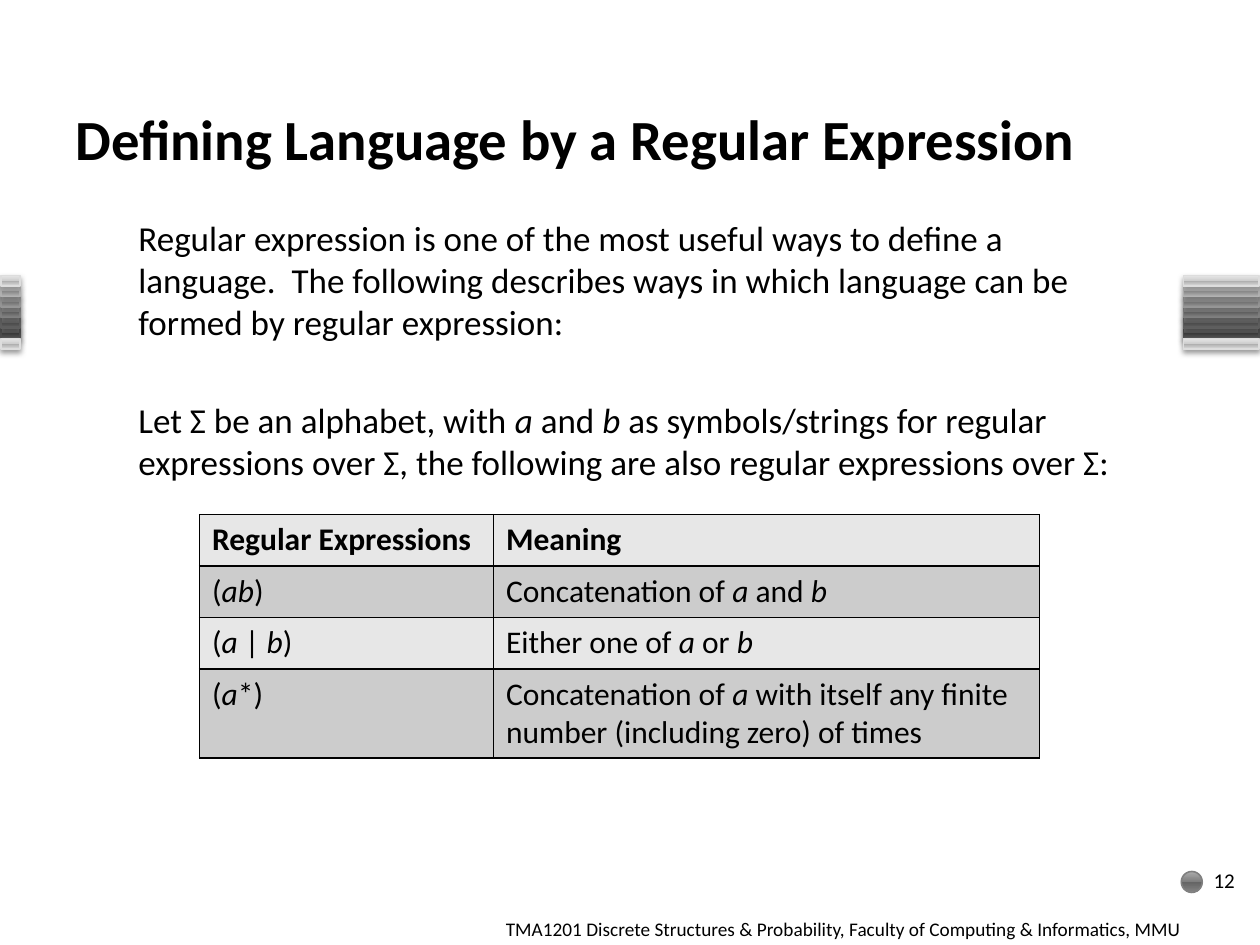
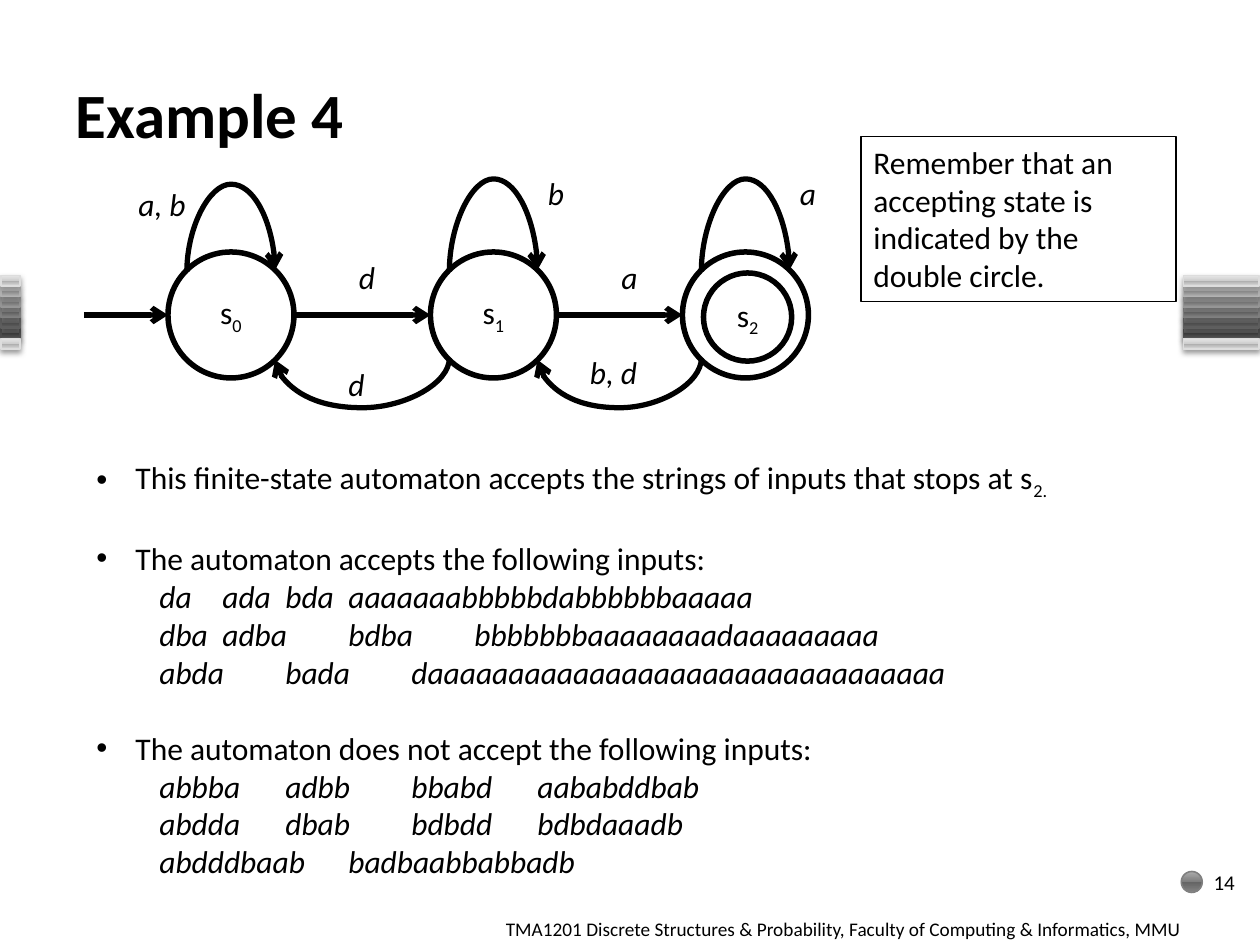
from lxml.etree import SubElement
from pptx import Presentation
from pptx.dml.color import RGBColor
from pptx.enum.shapes import MSO_CONNECTOR, MSO_SHAPE
from pptx.enum.text import MSO_ANCHOR, MSO_AUTO_SIZE, PP_ALIGN
from pptx.oxml.ns import qn
from pptx.util import Emu, Inches, Pt

RECT, OVAL = MSO_SHAPE.RECTANGLE, MSO_SHAPE.OVAL
LINE, CURVE = MSO_CONNECTOR.STRAIGHT, MSO_CONNECTOR.CURVE
TOP, MIDDLE, BOTTOM = MSO_ANCHOR.TOP, MSO_ANCHOR.MIDDLE, MSO_ANCHOR.BOTTOM
LEFT, CENTER = PP_ALIGN.LEFT, PP_ALIGN.CENTER
GROW = MSO_AUTO_SIZE.SHAPE_TO_FIT_TEXT
COLS, ROWS = 120, 90
CELL = Inches(10) / COLS


class Theme:
    font = "Calibri"
    ink = RGBColor(0, 0, 0)
    paper = RGBColor(255, 255, 255)
    rows = [RGBColor(0xE7, 0xE7, 0xE7), RGBColor(0xCC, 0xCC, 0xCC)]
    body, text, num, foot = 20, 18, 12, 11
    ring, arrow, thin, edge = Pt(3.15), Pt(3), Pt(0.75), Pt(0.9)
    stops = [0, 49, 49, 92, 100]
    # Five gradient stops, then outline and shadow, from light to dark
    tones = [
        "E6E6E6 CECECE AAAAAA D4D4D4 DEDEDE DDDDDD 888888".split(),
        "CACACA A9A9A9 898989 ACACAC B9B9B9 B2B2B2 6E6E6E".split(),
        "B9B9B9 919191 747474 929292 A2A2A2 969696 5D5D5D".split(),
        "ADADAD 7E7E7E 636363 7E7E7E 929292 808080 4F4F4F".split(),
        "9F9F9F 646464 494949 616161 7B7B7B 5F5F5F 3B3B3B".split(),
        "999999 575757 3B3B3B 525252 717171 4D4D4D 303030".split(),
    ]


def grid(*cells):
    """Turn grid cells into slide lengths."""
    return [Emu(round(n * CELL)) for n in cells]


def write(frame, texts, size, anchor=TOP, align=LEFT, bold=False, wrap=True):
    """Fill a frame; ~ toggles italic and ^ toggles subscript."""
    frame.word_wrap = wrap
    frame.vertical_anchor = anchor
    for n, text in enumerate(texts):
        para = frame.add_paragraph() if n else frame.paragraphs[0]
        para.alignment = align
        font = para.font
        font.name, font.size, font.bold = Theme.font, Pt(size), bold
        font.color.rgb = Theme.ink
        for i, part in enumerate(text.split("~")):
            for j, bit in enumerate(part.split("^")):
                if bit:
                    run = para.add_run()
                    run.text = bit
                    if i % 2:
                        run.font.italic = True
                    if j % 2:
                        run.font._element.set("baseline", "-25000")
    return frame


deck = Presentation()
deck.slide_width, deck.slide_height = grid(COLS, ROWS)

# Shared side bands, dot, footer, title and slide number
decor = [(OVAL, (112.5, 83, 2, 2), 3, False)]
for left, width in [(0.1, 1.8), (112.7, 7.2)]:
    for row in [5, 4, 3, 2, 1, 0, 6]:
        decor.append((RECT, (left, 26.25 + row, width, 1), row % 6, True))

slides = []
for title, size, top, num, level in [
    ("Defining Language by a Regular Expression", 32.4, 2, "12", 80.8),
    ("Example 4", 36, 0, "14", 81),
]:
    slide = deck.slides.add_slide(deck.slide_layouts[6])
    slides.append(slide)
    for kind, box, tone, shade in decor:
        *fills, edge, dark = Theme.tones[tone]
        item = slide.shapes.add_shape(kind, *grid(*box))
        item.shadow.inherit = False
        item.fill.gradient()
        item.fill.gradient_angle = 270
        item.line.color.rgb = RGBColor.from_string(edge)
        item.line.width = Theme.edge
        props = item._element.spPr
        stops = props.find(".//" + qn("a:gsLst"))
        stops.clear()
        for pos, fill in zip(Theme.stops, fills):
            stop = SubElement(stops, qn("a:gs"), pos=str(pos * 1000))
            SubElement(stop, qn("a:srgbClr"), val=fill)
        if shade:
            cast = SubElement(
                props.find(qn("a:effectLst")), qn("a:outerShdw"),
                blurRad=str(Pt(3.1)), dist=str(Pt(2)), dir="5400000", rotWithShape="0")
            color = SubElement(cast, qn("a:srgbClr"), val=dark)
            SubElement(color, qn("a:alpha"), val="83000")

    foot = slide.shapes.add_shape(RECT, *grid(47, 86.75, 73, 3.25))
    foot.shadow.inherit = False
    foot.fill.solid()
    foot.fill.fore_color.rgb = Theme.paper
    foot.line.fill.background()
    write(foot.text_frame,
          ["TMA1201 Discrete Structures & Probability, Faculty of Computing & Informatics, MMU"],
          Theme.foot)
    head = slide.shapes.add_textbox(*grid(6, top, 101, 15))
    write(head.text_frame, [title], size, BOTTOM, bold=True)
    page = slide.shapes.add_textbox(*grid(114.4, level, 5.6, 6))
    write(page.text_frame, [num], Theme.num, MIDDLE)

# Regular expressions
shapes = slides[0].shapes
intro = write(shapes.add_textbox(*grid(12, 20, 98, 55.5)).text_frame, [
    "Regular expression is one of the most useful ways to define a language.  "
    "The following describes ways in which language can be formed by regular expression:",
    "Let Σ be an alphabet, with ~a~ and ~b~ as symbols/strings for regular expressions "
    "over Σ, the following are also regular expressions over Σ:",
], Theme.body)
intro.paragraphs[1].space_before = Pt(32)

cells = [
    ("Regular Expressions", "Meaning"),
    ("(~ab~)", "Concatenation of ~a~ and ~b~"),
    ("(~a~ | ~b~)", "Either one of ~a ~or~ b~"),
    ("(~a~*)", "Concatenation of ~a ~with itself any finite number (including zero) of times"),
]
table = shapes.add_table(4, 2, *grid(19, 49, 80, 23.2)).table
table.first_row = table.horz_banding = False
for col, width in zip(table.columns, grid(28, 52)):
    col.width = width
for row, height in zip(table.rows, grid(4.9, 4.9, 4.9, 8.5)):
    row.height = height
for r, texts in enumerate(cells):
    for c, text in enumerate(texts):
        cell = table.cell(r, c)
        write(cell.text_frame, [text], Theme.text, bold=r == 0)
        for side in "LRTB":
            rule = SubElement(cell._tc.get_or_add_tcPr(), qn("a:ln" + side), w=str(Pt(1)))
            fill = SubElement(rule, qn("a:solidFill"))
            SubElement(fill, qn("a:srgbClr"), val=str(Theme.ink))
        cell.fill.solid()
        cell.fill.fore_color.rgb = Theme.rows[r % 2]

# Automaton: states, then moves between them
shapes = slides[1].shapes
mids, axis, reach = [22, 47, 71], 30, 4.2
rings = [(x - 6, axis - 6, 12, text) for x, text in zip(mids, ["s^0^", "s^1^", ""])]
rings.append((67, 26, 8.4, "s^2^"))
for left, top, wide, text in rings:
    ring = shapes.add_shape(OVAL, *grid(left, top, wide, wide))
    ring.shadow.inherit = False
    ring.fill.background()
    ring.line.color.rgb, ring.line.width = Theme.ink, Theme.ring
    if text:
        write(ring.text_frame, [text], Theme.text, MIDDLE, CENTER)

# Each bend: middle, level, span, depth, direction (-1 up, 1 down)
bends = [(x, axis - reach, 2 * reach, deep, -1) for x, deep in zip(mids, [8.3, 8.8, 8.8])]
bends += [((a + b) / 2, axis + reach, b - a - 2 * reach, 4.7, 1)
          for a, b in zip(mids, mids[1:])]
slim = 0.16
moves = [(LINE, (a, axis, b, axis), 0) for a, b in [(8, 16), (28, 41), (53, 65)]]
for x, y, span, deep, way in bends:
    dx, dy = way * slim / 2, way * span / 2
    moves.append((CURVE, (x - dx, y - dy, x + dx, y + dy), deep))
for kind, ends, deep in moves:
    move = shapes.add_connector(kind, *grid(*ends))
    move.line.color.rgb, move.line.width = Theme.ink, Theme.arrow
    props = move._element.spPr
    SubElement(props.find(qn("a:ln")), qn("a:tailEnd"), type="arrow")
    SubElement(props, qn("a:effectLst"))
    if deep:
        props.find(qn("a:xfrm")).set("rot", "5400000")
        SubElement(props.find(".//" + qn("a:avLst")), qn("a:gd"),
                   name="adj1", fmla=f"val {round(deep / slim * 100000)}")

for text, left, top in [
    ("a, b", 12, 17), ("d", 33, 24), ("b", 51, 16), ("a", 58, 24),
    ("a", 75, 16), ("d", 32, 34.2), ("b, d", 55, 33),
]:
    label = shapes.add_textbox(*grid(left, top, 7 if "," in text else 4, 4.8))
    write(label.text_frame, [f"~{text}~"], Theme.text, wrap=False).auto_size = GROW

note = shapes.add_shape(RECT, *grid(82, 13, 30, 15.7))
note.shadow.inherit = False
note.fill.background()
note.line.color.rgb, note.line.width = Theme.ink, Theme.thin
write(note.text_frame,
      ["Remember that an accepting state is", "indicated by the double circle."], Theme.text)

facts = [
    "This finite-state automaton accepts the strings of inputs that stops at s^2.^",
    "The automaton accepts the following inputs:",
    "~\tda\tada\tbda\taaaaaaabbbbbdabbbbbbaaaaa~",
    "~\tdba\tadba\tbdba\tbbbbbbbaaaaaaaadaaaaaaaaa~",
    "~\tabda\tbada\tdaaaaaaaaaaaaaaaaaaaaaaaaaaaaaaaa~",
    "The automaton does not accept the following inputs:",
    "~\tabbba\tadbb\tbbabd\taababddbab~",
    "~\tabdda\tdbab\tbdbdd\tbdbdaaadb~",
    "~\tabdddbaab\tbadbaabbabbadb~",
]
frame = shapes.add_textbox(*grid(8, 43, 104, 41.2)).text_frame
for n, fact in enumerate(facts):
    para = frame.add_paragraph() if n else frame.paragraphs[0]
    if fact.startswith("T"):
        props = para._p.get_or_add_pPr()
        props.set("marL", str(Inches(0.31)))
        props.set("indent", str(-Inches(0.31)))
        if n:
            para.space_before = Pt(22)
        SubElement(props, qn("a:buFont"), typeface="Arial")
        SubElement(props, qn("a:buChar"), char="•")
frame.word_wrap = True
for para, fact in zip(frame.paragraphs, facts):
    font = para.font
    font.name, font.size, font.color.rgb = Theme.font, Pt(Theme.text), Theme.ink
    font.italic = fact.startswith("~")
    for j, bit in enumerate(fact.strip("~").split("^")):
        if bit:
            run = para.add_run()
            run.text = bit
            if j % 2:
                run.font._element.set("baseline", "-25000")

deck.save("out.pptx")
